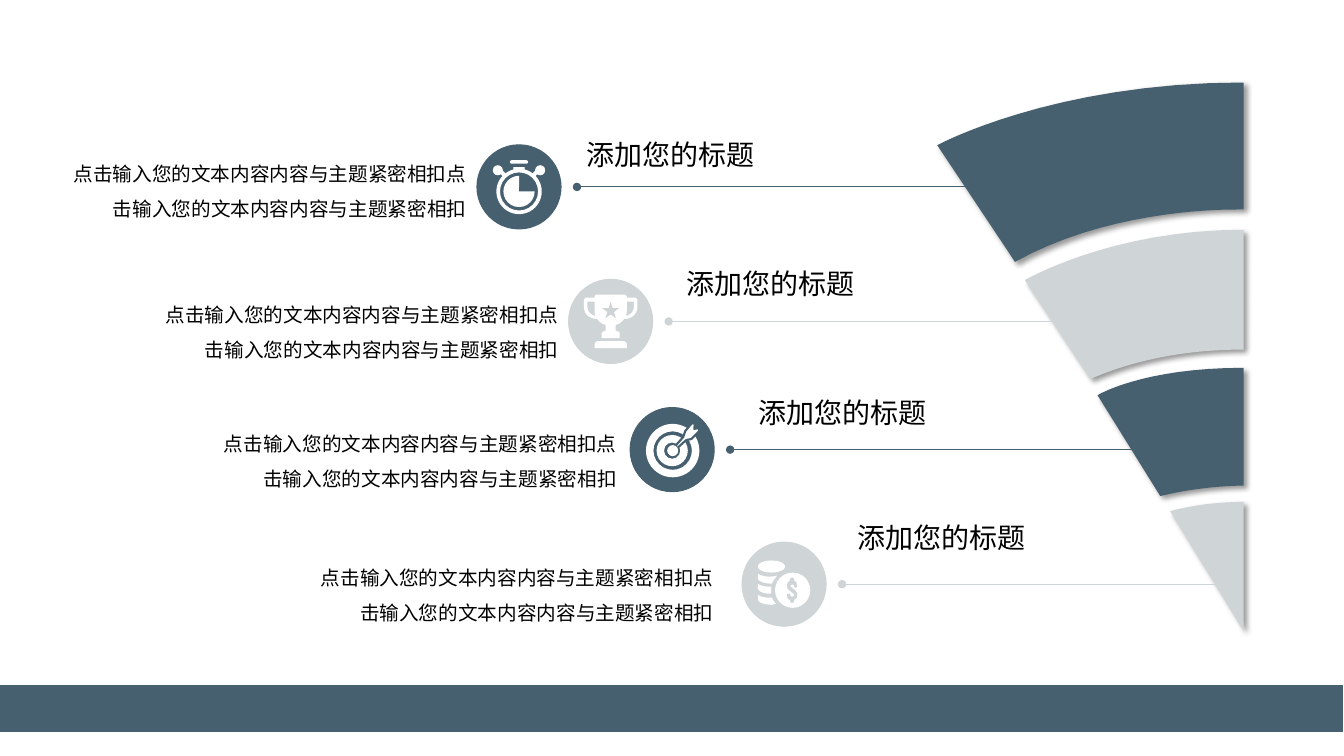
from dataclasses import dataclass

from lxml import etree
from pptx import Presentation
from pptx.dml.color import RGBColor
from pptx.enum.shapes import MSO_CONNECTOR, MSO_SHAPE
from pptx.enum.text import MSO_AUTO_SIZE, PP_ALIGN
from pptx.oxml.ns import qn
from pptx.shapes.autoshape import Shape
from pptx.slide import Slide
from pptx.util import Cm, Pt

RECTANGLE, ELLIPSE, RING, PIE = MSO_SHAPE.RECTANGLE, MSO_SHAPE.OVAL, MSO_SHAPE.DONUT, MSO_SHAPE.PIE
ROUNDED, ROUNDED_TOP = MSO_SHAPE.ROUNDED_RECTANGLE, MSO_SHAPE.ROUND_2_SAME_RECTANGLE
STAR, STRAIGHT = MSO_SHAPE.STAR_5_POINT, MSO_CONNECTOR.STRAIGHT
RIGHT, JUSTIFY = PP_ALIGN.RIGHT, PP_ALIGN.JUSTIFY


@dataclass(frozen=True)
class Theme:
    dark: str = "466070"
    light: str = "CFD4D6"
    icon: str = "FFFFFF"
    text: str = "000000"
    font: str = "Times New Roman"
    title_size: float = 20
    body_size: float = 14
    line_width: float = 0.75
    halo_width: float = 1.5


@dataclass(frozen=True)
class Preset:
    """A preset shape in icon units from the disc centre."""
    kind: MSO_SHAPE
    left: float
    top: float
    width: float
    height: float
    adjustment: float | None = None
    cut: bool = False


@dataclass(frozen=True)
class Outline:
    """A path of M, L and C steps in icon units from the disc centre."""
    path_steps: str
    cut: bool = False
    halo: bool = False


@dataclass(frozen=True)
class Row:
    color: str
    disc_x: float
    disc_y: float
    line_end: float
    title_left: float
    title_top: float
    body_right: float
    body_top: float
    segment: str
    icon: tuple[Preset | Outline, ...]


THEME = Theme()
TITLE = "添加您的标题"
BODY = "点击输入您的文本内容内容与主题紧密相扣" * 2
DISC_SIZE, LINE_GAP = 2.12, 1.46
TITLE_WIDTH, TITLE_HEIGHT = 5.23, 1.11
BODY_WIDTH, BODY_HEIGHT = 10.49, 2.06
ICON_UNIT = 0.0254  # centimetres
CURVE_STEPS = 16

STOPWATCH = (
    Preset(PIE, -15.5, -11, 31, 31),
    Preset(ROUNDED, -9, -26.5, 18, 3.5, 0.5),
    Preset(RECTANGLE, -5.5, -19.5, 11, 4),
    Preset(RING, -22.5, -18, 45, 45, 0.08),
    Preset(ELLIPSE, -26, -21.5, 10, 10),
    Preset(ELLIPSE, 16, -21.5, 10, 10),
    Outline("M -19 -14 L -16 -16 L -13 -13 L -16 -10 M 19 -14 L 16 -16 L 13 -13 L 16 -10"),
)
TROPHY = (
    Preset(ROUNDED_TOP, -16, 19.5, 32, 7, 0.5),
    Outline("M -15 -26.5 L 15 -26.5 L 16 -24.5 L 16 -10.5 C 16 -4 11 2 5 3.5 L 5 9.5 "
            "C 8 9.5 9 11 9 12.5 L 9 16.5 L -9 16.5 L -9 12.5 C -9 11 -8 9.5 -5 9.5 "
            "L -5 3.5 C -11 2 -16 -4 -16 -10.5 L -16 -24.5 "
            "M 16 -23.5 L 25 -23.5 L 26.5 -21.5 L 26.5 -14.5 C 26.5 -7.5 21 -2.5 14 -2.5 "
            "L 15 -5.5 C 19 -6 23 -9.5 23 -14.5 L 23 -19.5 L 16 -19.5 "
            "M -16 -23.5 L -25 -23.5 L -26.5 -21.5 L -26.5 -14.5 C -26.5 -7.5 -21 -2.5 -14 -2.5 "
            "L -15 -5.5 C -19 -6 -23 -9.5 -23 -14.5 L -23 -19.5 L -16 -19.5"),
    Preset(STAR, -8.5, -19.5, 17, 16.5, cut=True),
)
TARGET = (
    Preset(RING, -26, -25.5, 53, 53, 0.14),
    Preset(RING, -15.5, -14.5, 31, 31, 0.24),
    Outline("M 21 -26.5 L 19 -25.5 L 13 -18.5 L 11 -12.5 L 3 -3.5 L 5 -1.5 L 14 -9.5 "
            "L 19 -10.5 L 27 -18.5 L 26 -21.5 L 22 -20.5 L 22.5 -25", halo=True),
    Preset(ELLIPSE, -5, -4.5, 11, 11),
)
COINS = (
    Preset(ELLIPSE, -26, -23.5, 27, 12),
    Outline("M -26 -10.5 L -26 -5.5 C -25 -2 -18 -0.5 -12 -0.5 C -11 -3.5 -9 -5.5 -7 -8.5 "
            "C -14 -6.5 -22 -7.5 -26 -10.5 "
            "M -26 -0.5 L -26 4.5 C -25 7.5 -20 9.5 -13 9.5 L -13 2.5 C -18 2.5 -23 2 -26 -0.5 "
            "M -26 10.5 L -26 15.5 C -26 18 -19 20.5 -12 20.5 L -8 19.5 "
            "C -9.5 18 -11 16 -12 13.5 C -18 13.5 -23 13 -26 10.5"),
    Preset(ELLIPSE, -9, -11.5, 35, 35),
    Outline("M 8 -6.5 C 9 -6.5 10 -5.5 10 -4.5 L 10 -3.5 C 12 -2.5 13 -0.5 13 1.5 "
            "C 13 2.5 12 3.5 12 3.5 C 11 3.5 10 2.5 10 1.5 C 10 0.5 9 0.5 8 0.5 "
            "C 7 0.5 6 1.5 6 1.5 C 6 2.5 8 3.5 9 4.5 C 11 6.5 13 7.5 13 10.5 "
            "C 13 13.5 12 14.5 10 15.5 L 10 16.5 C 10 17.5 9 18.5 8 18.5 "
            "C 7 18.5 6 17.5 6 16.5 L 6 15.5 C 4 15.5 3 13.5 3 10.5 C 3 9.5 4 9.5 5 9.5 "
            "C 5 9.5 6 9.5 6 10.5 C 6 11.5 7 12.5 8 12.5 C 9 12.5 10 11.5 10 10.5 "
            "C 10 9.5 8 8.5 7 7.5 C 5 6.5 3 4.5 3 1.5 C 3 -0.5 4 -2.5 6 -3.5 "
            "L 6 -4.5 C 6 -5.5 7 -6.5 8 -6.5", cut=True),
)
ROWS = (
    Row(THEME.dark, 13.08, 4.71, 28.7, 14.53, 3.33, 12.01, 3.66,
        "M 31.34 2.08 L 31.34 5.28 L 31.17 5.28 C 30.45 5.28 27.81 5.36 25.58 6.6 "
        "L 23.62 3.66 C 23.62 3.66 26.52 2.08 31.34 2.08", STOPWATCH),
    Row(THEME.light, 15.39, 8.1, 30.05, 17.04, 6.6, 14.33, 7.21,
        "M 31.34 5.79 L 31.34 8.81 C 30.66 8.81 29.06 8.86 27.48 9.55 "
        "L 25.83 7.06 C 25.83 7.06 27.99 5.79 31.34 5.79", TROPHY),
    Row(THEME.dark, 16.94, 11.33, 30.84, 18.87, 9.83, 15.8, 10.46,
        "M 31.34 9.27 L 31.34 12.24 L 31.27 12.24 C 31.04 12.24 30.2 12.27 29.24 12.5 "
        "L 27.66 9.96 C 27.66 9.96 28.78 9.27 31.34 9.27", TARGET),
    Row(THEME.light, 19.76, 14.72, 30.84, 21.36, 13.0, 18.24, 13.84,
        "M 31.34 12.65 L 31.34 15.9 L 29.49 12.88 C 30.07 12.73 30.68 12.65 31.34 12.65", COINS),
)


def paint(shape: Shape, fill: str, line: str | None = None, width: float = THEME.line_width) -> None:
    shape.shadow.inherit = False
    shape.fill.solid()
    shape.fill.fore_color.rgb = RGBColor.from_string(fill)
    if line is None:
        shape.line.fill.background()
    else:
        shape.line.color.rgb = RGBColor.from_string(line)
        shape.line.width = Pt(width)


def add_preset(page: Slide, kind: MSO_SHAPE, left: float, top: float, width: float, height: float) -> Shape:
    return page.shapes.add_shape(kind, Cm(left), Cm(top), Cm(width), Cm(height))


def trace(contour: str) -> list[tuple[float, float]]:
    """Turn one contour into points, with each cubic curve sampled evenly."""
    points: list[tuple[float, float]] = []
    tokens = iter(contour.split())
    for token in tokens:
        if token != "C":
            x = float(next(tokens) if token == "L" else token)
            points.append((x, float(next(tokens))))
            continue
        knots = [points[-1]] + [(float(next(tokens)), float(next(tokens))) for _ in range(3)]
        for step in range(1, CURVE_STEPS + 1):
            t = step / CURVE_STEPS
            weights = ((1 - t) ** 3, 3 * t * (1 - t) ** 2, 3 * t * t * (1 - t), t ** 3)
            points.append((sum(w * k[0] for w, k in zip(weights, knots)),
                           sum(w * k[1] for w, k in zip(weights, knots))))
    return points


def add_outline(page: Slide, path_steps: str, x: float = 0, y: float = 0, unit: float = 1) -> Shape:
    contours = [[(Cm(x + unit * px), Cm(y + unit * py)) for px, py in trace(contour)]
                for contour in path_steps.split("M")[1:]]
    builder = page.shapes.build_freeform(*contours[0][0], scale=1.0)
    for number, points in enumerate(contours):
        if number:
            builder.move_to(*points[0])
        builder.add_line_segments(points[1:], close=True)
    return builder.convert_to_shape()


def add_shadow(shape: Shape) -> None:
    effects = shape._element.spPr.find(qn("a:effectLst"))
    shadow = etree.SubElement(effects, qn("a:outerShdw"), blurRad=str(Pt(4)), dist=str(Pt(3)),
                              dir="2700000", algn="tl", rotWithShape="0")
    color = etree.SubElement(shadow, qn("a:srgbClr"), val=THEME.text)
    etree.SubElement(color, qn("a:alpha"), val="40000")


def add_leader(page: Slide, start: float, end: float, y: float, color: str) -> None:
    leader = page.shapes.add_connector(STRAIGHT, Cm(end), Cm(y), Cm(start), Cm(y))
    leader.line.color.rgb = RGBColor.from_string(color)
    leader.line.width = Pt(THEME.line_width)
    etree.SubElement(leader.line._get_or_add_ln(), qn("a:tailEnd"), type="oval")
    etree.SubElement(leader._element.spPr, qn("a:effectLst"))


def add_text(page: Slide, text: str, left: float, top: float, width: float, height: float, *,
             size: float, align: PP_ALIGN, spacing: float = 1.0) -> None:
    box = page.shapes.add_textbox(Cm(left), Cm(top), Cm(width), Cm(height))
    box.text_frame.word_wrap = True
    box.text_frame.auto_size = MSO_AUTO_SIZE.SHAPE_TO_FIT_TEXT
    para = box.text_frame.paragraphs[0]
    para.alignment, para.line_spacing = align, spacing
    span = para.add_run()
    span.text = text
    span.font.name, span.font.size = THEME.font, Pt(size)
    span.font.color.rgb = RGBColor.from_string(THEME.text)


def add_icon(page: Slide, row: Row) -> None:
    for part in row.icon:
        fill = row.color if part.cut else THEME.icon
        if isinstance(part, Outline):
            shape = add_outline(page, part.path_steps, row.disc_x, row.disc_y, ICON_UNIT)
            paint(shape, fill, row.color if part.halo else None, THEME.halo_width)
            continue
        shape = add_preset(page, part.kind, row.disc_x + ICON_UNIT * part.left,
                           row.disc_y + ICON_UNIT * part.top,
                           ICON_UNIT * part.width, ICON_UNIT * part.height)
        if part.adjustment is not None:
            shape.adjustments[0] = part.adjustment
        paint(shape, fill)


def add_row(page: Slide, row: Row) -> None:
    segment = add_outline(page, row.segment)
    paint(segment, row.color)
    add_shadow(segment)
    add_leader(page, row.disc_x + LINE_GAP, row.line_end, row.disc_y, row.color)
    disc = add_preset(page, ELLIPSE, row.disc_x - DISC_SIZE / 2, row.disc_y - DISC_SIZE / 2,
                      DISC_SIZE, DISC_SIZE)
    paint(disc, row.color, row.color)
    add_icon(page, row)
    add_text(page, TITLE, row.title_left, row.title_top, TITLE_WIDTH, TITLE_HEIGHT,
             size=THEME.title_size, align=JUSTIFY)
    add_text(page, BODY, row.body_right - BODY_WIDTH, row.body_top, BODY_WIDTH, BODY_HEIGHT,
             size=THEME.body_size, align=RIGHT, spacing=1.5)


def main() -> None:
    deck = Presentation()
    deck.slide_width, deck.slide_height = Cm(33.87), Cm(19.05)
    page = deck.slides.add_slide(deck.slide_layouts[6])
    # Footer band
    paint(add_preset(page, RECTANGLE, -0.08, 17.27, 33.91, 1.17), THEME.dark, THEME.dark, 1)
    # Fan segments with their captions
    for row in ROWS:
        add_row(page, row)
    deck.save("out.pptx")


if __name__ == "__main__":
    main()
